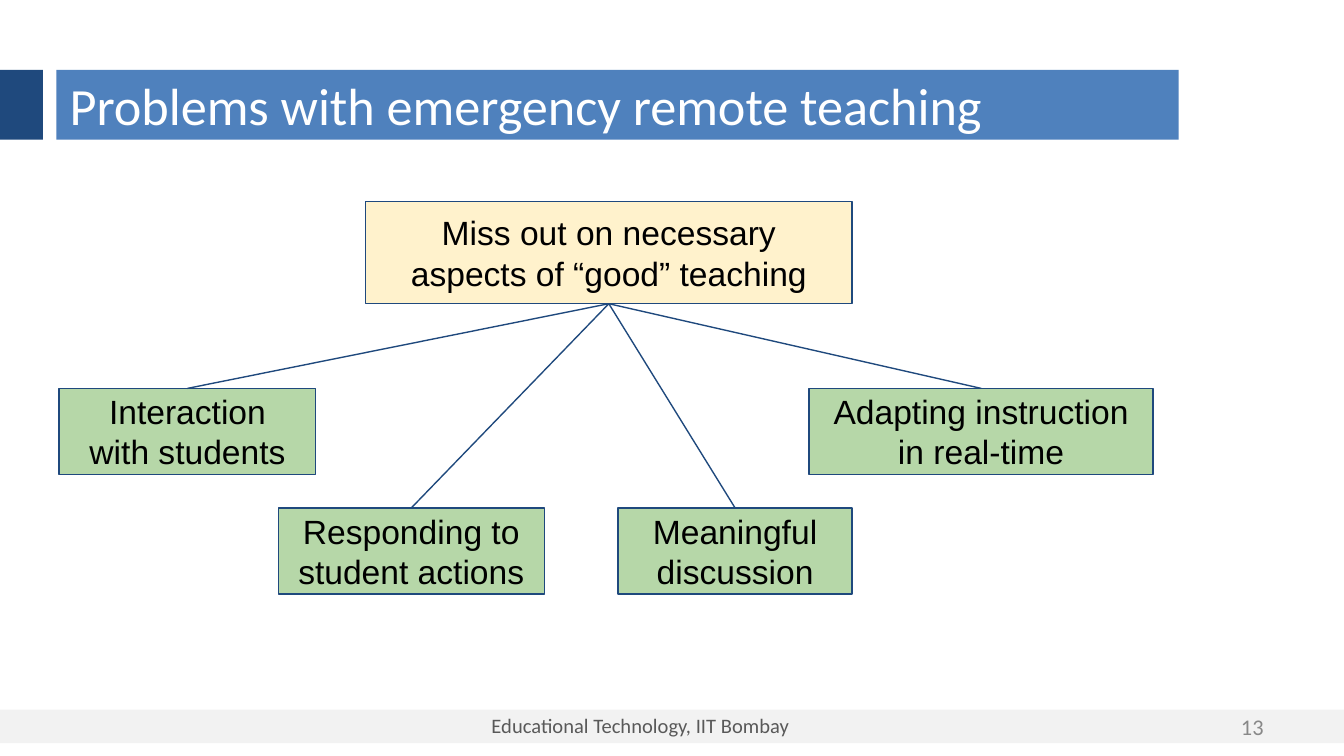
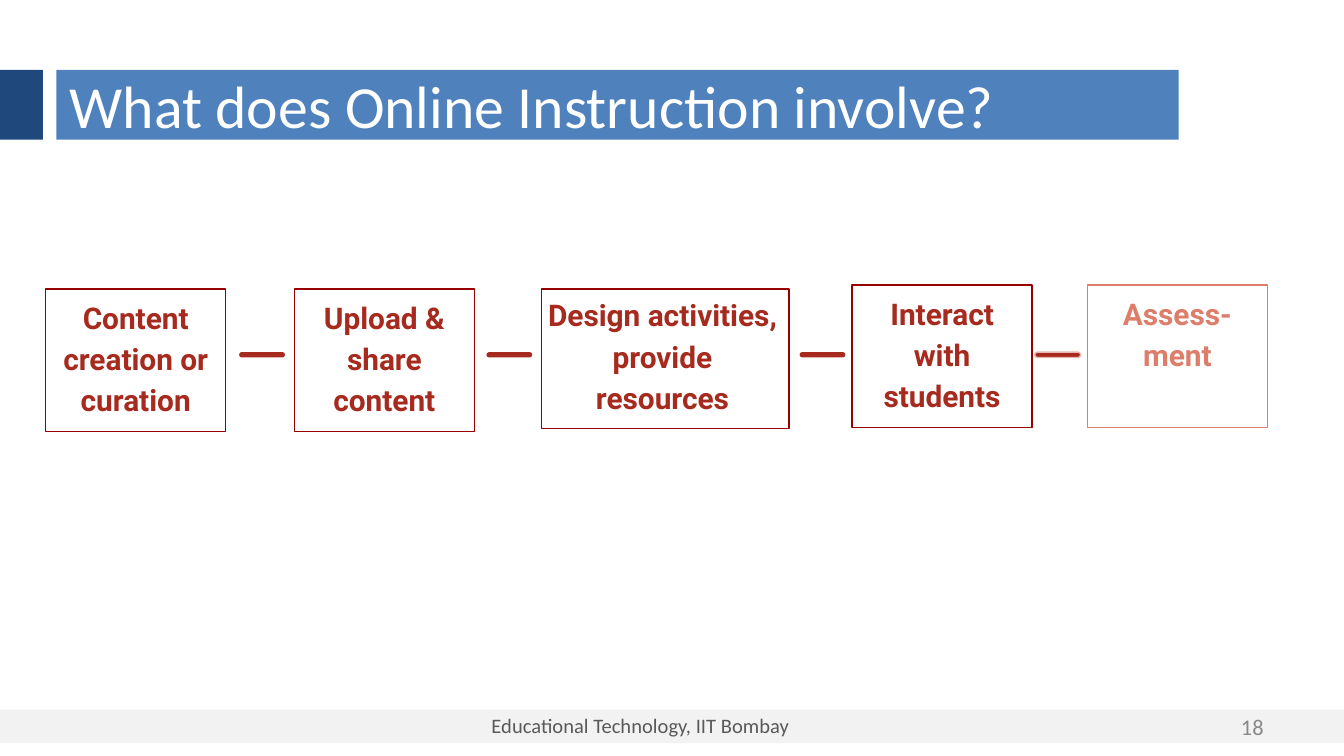
from dataclasses import dataclass

from lxml import etree
from pptx import Presentation
from pptx.dml.color import RGBColor
from pptx.enum.shapes import MSO_CONNECTOR, MSO_SHAPE
from pptx.enum.text import MSO_ANCHOR, PP_ALIGN
from pptx.oxml.ns import qn
from pptx.util import Inches, Pt

RECT = MSO_SHAPE.RECTANGLE
ROUNDED = MSO_SHAPE.ROUNDED_RECTANGLE
STRAIGHT = MSO_CONNECTOR.STRAIGHT
LEFT, CENTER, RIGHT = PP_ALIGN.LEFT, PP_ALIGN.CENTER, PP_ALIGN.RIGHT
TOP, MIDDLE, BOTTOM = MSO_ANCHOR.TOP, MSO_ANCHOR.MIDDLE, MSO_ANCHOR.BOTTOM
SITE_TOP, SITE_BOTTOM = 0, 2


@dataclass(frozen=True)
class Theme:
    navy: str = "1F497D"
    blue: str = "4F81BD"
    white: str = "FFFFFF"
    black: str = "000000"
    footer_band: str = "F2F2F2"
    footer_text: str = "595959"
    number_text: str = "888888"
    cream: str = "FFF2CC"
    green: str = "B6D7A8"
    red: str = "A72A1E"
    dark_red: str = "980000"
    faded_red: str = "DD7E6B"
    pale_red: str = "E6B8AF"
    base_font: str = "Calibri"
    tree_font: str = "Arial"
    step_font: str = "Roboto"
    footer_size: int = 11
    number_size: int = 12
    step_size: int = 16
    tree_size: int = 18
    line_width: float = 0.75


THEME = Theme()


@dataclass(frozen=True)
class Box:
    left: float
    top: float
    width: float
    height: float

    def inner(self, left, top, width, height):
        """Return a box placed relative to this one."""
        return Box(self.left + left, self.top + top, width, height)

    def lengths(self):
        return [Inches(n) for n in (self.left, self.top, self.width, self.height)]


PAGE = Box(0, 0, 10, 10 * 9 / 16)


# Drawing helpers

def add_block(page, box, fill=None, line=None, kind=RECT):
    block = page.shapes.add_shape(kind, *box.lengths())
    block.shadow.inherit = False
    if fill:
        block.fill.solid()
        block.fill.fore_color.rgb = RGBColor.from_string(fill)
    else:
        block.fill.background()
    if line:
        block.line.color.rgb = RGBColor.from_string(line)
        block.line.width = Pt(THEME.line_width)
    else:
        block.line.fill.background()
    return block


def write(shape, text, *, size, color, font=THEME.base_font, bold=False, align=LEFT,
          anchor=MIDDLE, insets=(0.1, 0.05, 0.1, 0.05), spacing=None):
    """Fill a shape with text, one paragraph for each line; insets run left, top, right, bottom."""
    frame = shape.text_frame
    frame.word_wrap = True
    frame.vertical_anchor = anchor
    (frame.margin_left, frame.margin_top,
     frame.margin_right, frame.margin_bottom) = [Inches(n) for n in insets]
    for index, words in enumerate(text.split("\n")):
        para = frame.add_paragraph() if index else frame.paragraphs[0]
        para.alignment = align
        if spacing:
            para.line_spacing = spacing
        span = para.add_run()
        span.text = words
        span.font.name = font
        span.font.size = Pt(size)
        span.font.bold = bold
        span.font.color.rgb = RGBColor.from_string(color)


def add_label(page, box, text, **style):
    write(page.shapes.add_textbox(*box.lengths()), text, **style)


def join(page, parent, child):
    """Draw a line from the bottom of the parent to the top of the child."""
    link = page.shapes.add_connector(STRAIGHT, 0, 0, 0, 0)
    link.begin_connect(parent, SITE_BOTTOM)
    link.end_connect(child, SITE_TOP)
    link.line.color.rgb = RGBColor.from_string(THEME.navy)
    link.line.width = Pt(THEME.line_width)
    etree.SubElement(link.element.spPr, qn("a:effectLst"))


# Regions shared by the slides

def draw_footer(page, box, number):
    add_block(page, box.inner(0, 0.02, box.width, 0.25), THEME.footer_band)
    add_label(page, box.inner(2.42, 0, 4.69, 0.24), "Educational Technology, IIT Bombay",
              size=THEME.footer_size, color=THEME.footer_text, align=CENTER, anchor=TOP)
    add_label(page, box.inner(8.88, 0, 0.62, 0.3), str(number),
              size=THEME.number_size, color=THEME.number_text, align=RIGHT)


def draw_title(page, box, title, size):
    add_block(page, box.inner(0.42, 0, 8.35, box.height), THEME.blue)
    add_block(page, box.inner(0, 0, 0.32, box.height), THEME.navy)
    add_label(page, box.inner(0.42, 0, 8.33, box.height), title, size=size, color=THEME.white)


def add_page(deck, title, title_size, number):
    page = deck.slides.add_slide(deck.slide_layouts[6])
    draw_footer(page, PAGE.inner(0, 5.26, PAGE.width, 0.3), number)
    draw_title(page, PAGE.inner(0, 0.52, 8.77, 0.52), title, title_size)
    return page


# Slide bodies

def draw_problem_tree(page, box):
    def add_node(place, text, fill, side=0.1):
        node = add_block(page, box.inner(*place), fill, THEME.navy)
        write(node, text, size=THEME.tree_size, color=THEME.black, font=THEME.tree_font,
              align=CENTER, insets=(side, 0.1, side, 0.1))
        return node

    upper, lower, height = 1.39, 2.28, 0.64
    aspects = [
        ((1.63, lower, 1.98, height), "Responding to student actions"),
        ((5.58, upper, 2.56, height), "Adapting instruction in real-time"),
        ((4.16, lower, 1.74, height), "Meaningful discussion"),
        ((0, upper, 1.91, height), "Interaction\nwith students"),
    ]
    nodes = [add_node(place, text, THEME.green) for place, text in aspects]
    root = add_node((2.28, 0, 3.62, 0.76),
                    "Miss out on necessary aspects of “good” teaching", THEME.cream, side=0.2)
    for node in nodes:
        join(page, root, node)


def draw_step_chain(page, box):
    step_width, step_height = 1.34, 1.06
    even = (0.1, 0.1, 0.1, 0.1)
    # Left, top, width, height, text, insets
    steps = [
        (0, 0.03, step_width, step_height, "Content creation or curation", even),
        (1.85, 0.03, step_width, step_height, "Upload & share content", even),
        (3.69, 0.03, 1.84, 1.04, "Design activities, provide\nresources",
         (0.02, 0.1, 0.06, 0.1)),
        (6, 0, step_width, step_height, "Interact with students", even),
        (7.75, 0, step_width, step_height, "Assess- ment", (0.1, 0.1, 0.1, 0.41)),
    ]
    last = len(steps) - 1
    for index, (left, top, width, height, text, insets) in enumerate(steps):
        faded = index == last
        line = THEME.faded_red if faded else THEME.dark_red
        step = add_block(page, box.inner(left, top, width, height), line=line)
        write(step, text, size=THEME.step_size, font=THEME.step_font, bold=True,
              color=THEME.faded_red if faded else THEME.red,
              align=CENTER, anchor=BOTTOM, insets=insets, spacing=1.15)

    # Dashes between the steps
    dash_lefts = (1.44, 3.28, 5.61, 7.36)
    for left in dash_lefts:
        line = THEME.pale_red if left == dash_lefts[-1] else None
        dash = add_block(page, box.inner(left, 0.5, 0.34, 0.04), THEME.red, line, ROUNDED)
        dash.adjustments[0] = 0.5


def main():
    deck = Presentation()
    deck.slide_width, deck.slide_height = Inches(PAGE.width), Inches(PAGE.height)

    page = add_page(deck, "Problems with emergency remote teaching", 28, 13)
    draw_problem_tree(page, PAGE.inner(0.44, 1.5, 8.14, 2.92))

    page = add_page(deck, "What does Online Instruction involve?", 32, 18)
    draw_step_chain(page, PAGE.inner(0.34, 2.12, 9.09, 1.09))

    deck.save("out.pptx")


if __name__ == "__main__":
    main()
